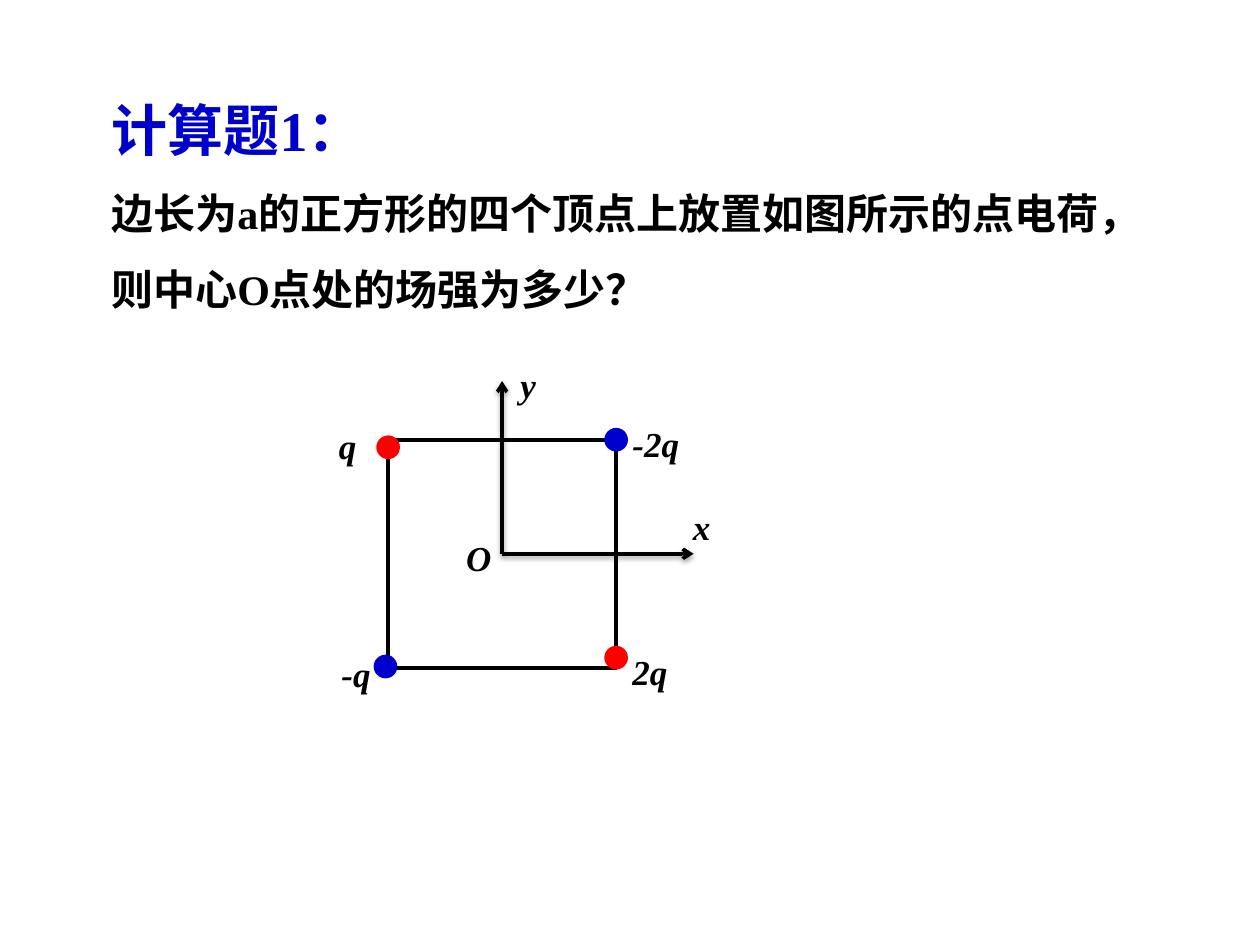
from dataclasses import dataclass

import pptx
import pptx.dml.color
import pptx.enum.shapes
import pptx.enum.text
import pptx.oxml
import pptx.oxml.ns
import pptx.util

Pt = pptx.util.Pt
RGB = pptx.dml.color.RGBColor
SHAPE = pptx.enum.shapes.MSO_SHAPE


@dataclass(frozen=True)
class Theme:
    font: str = "Times New Roman"
    title_size: int = 32
    body_size: int = 24
    label_size: int = 20
    line_width: int = 2
    inset: float = 3.6
    ink: RGB = RGB(0, 0, 0)
    paper: RGB = RGB(255, 255, 255)
    blue: RGB = RGB(0, 0, 0xCC)
    red: RGB = RGB(255, 0, 0)


THEME = Theme()

# Charge label, dot centre and label box, as offsets in the figure
CHARGES = [
    ("q", THEME.red, (31.8, 56.6), (0, 35, 24.5)),
    ("2q", THEME.red, (162.1, 176.8), (167.8, 164.6, 38.2)),
    ("-q", THEME.blue, (30.3, 181.9), (1.5, 165.3, 24.5)),
    ("-2q", THEME.blue, (162.1, 52.3), (167.8, 34.3, 49.7)),
]
AXIS_LABELS = [
    ("O", (72.8, 99.1, 24.5)),
    ("y", (103.8, 0.4, 24.5)),
    ("x", (202.4, 81.8, 24.5)),
]
SQUARE_OFFSET = (31.8, 52.3)
SQUARE_SIDE = 130.3
DOT_SIZE = 11.5
LABEL_HEIGHT = 36
X_AXIS_LENGTH = 109.4
Y_AXIS_LENGTH = 98.7


def write_text(box, text, size, color, spacing, italic=False):
    frame = box.text_frame
    frame.word_wrap = True
    frame.auto_size = pptx.enum.text.MSO_AUTO_SIZE.NONE
    frame.vertical_anchor = pptx.enum.text.MSO_ANCHOR.TOP
    frame.margin_left = frame.margin_right = Pt(THEME.inset)
    frame.margin_top = frame.margin_bottom = Pt(THEME.inset)
    para = frame.paragraphs[0]
    para.alignment = pptx.enum.text.PP_ALIGN.LEFT
    para.line_spacing = spacing
    para.space_before = Pt(0)
    span = para.add_run()
    span.text = text
    span.font.name = THEME.font
    span.font.size = Pt(size)
    span.font.bold = True
    span.font.italic = italic
    span.font.color.rgb = color


def add_outlined(page, kind, left, top, size, fill, line):
    shape = page.shapes.add_shape(kind, Pt(left), Pt(top), Pt(size), Pt(size))
    shape.shadow.inherit = False
    shape.fill.solid()
    shape.fill.fore_color.rgb = fill
    shape.line.color.rgb = line
    shape.line.width = Pt(THEME.line_width)


def add_axis(page, start, end):
    axis = page.shapes.add_connector(
        pptx.enum.shapes.MSO_CONNECTOR.STRAIGHT, *map(Pt, start + end))
    axis.line.color.rgb = THEME.ink
    axis.line.width = Pt(THEME.line_width)
    # Arrowhead and soft shadow below the line
    axis.line._get_or_add_ln().append(pptx.oxml.parse_xml(
        f'<a:tailEnd {pptx.oxml.ns.nsdecls("a")} type="arrow"/>'))
    axis._element.spPr.append(pptx.oxml.parse_xml(
        f'<a:effectLst {pptx.oxml.ns.nsdecls("a")}>'
        f'<a:outerShdw blurRad="{Pt(3)}" dist="{Pt(1.6)}" dir="5400000" rotWithShape="0">'
        '<a:srgbClr val="000000"><a:alpha val="38000"/></a:srgbClr>'
        '</a:outerShdw></a:effectLst>'))


def add_label(page, text, left, top, width):
    box = page.shapes.add_textbox(Pt(left), Pt(top), Pt(width), Pt(LABEL_HEIGHT))
    write_text(box, text, THEME.label_size, THEME.ink, 1.2, italic=True)


def place_question(page, left, top, width, height):
    title_height = 50
    body_top = top + title_height - THEME.inset
    # Heading
    title = page.shapes.title
    title.left, title.top = Pt(left), Pt(top)
    title.width, title.height = Pt(width), Pt(title_height)
    write_text(title, "计算题1：", THEME.title_size, THEME.blue, 1.2)
    # Problem statement
    body = page.shapes.add_textbox(
        Pt(left), Pt(body_top), Pt(width), Pt(top + height - body_top))
    write_text(body, "边长为a的正方形的四个顶点上放置如图所示的点电荷，则中心O点处的场强为多少？",
               THEME.body_size, THEME.ink, 1.5)


def place_figure(page, left, top):
    # Square
    square_left, square_top = left + SQUARE_OFFSET[0], top + SQUARE_OFFSET[1]
    add_outlined(page, SHAPE.RECTANGLE, square_left, square_top, SQUARE_SIDE,
                 THEME.paper, THEME.ink)
    # Point charges
    for text, color, (x, y), (label_x, label_y, width) in CHARGES:
        add_outlined(page, SHAPE.OVAL, left + x - DOT_SIZE / 2,
                     top + y - DOT_SIZE / 2, DOT_SIZE, color, color)
        add_label(page, text, left + label_x, top + label_y, width)
    # Axes from the centre of the square
    center_x = square_left + SQUARE_SIDE / 2
    center_y = square_top + SQUARE_SIDE / 2
    center = (center_x, center_y)
    add_axis(page, center, (center_x + X_AXIS_LENGTH, center_y))
    add_axis(page, center, (center_x, center_y - Y_AXIS_LENGTH))
    for text, (x, y, width) in AXIS_LABELS:
        add_label(page, text, left + x, top + y, width)


def main():
    deck = pptx.Presentation()
    deck.slide_width, deck.slide_height = Pt(720), Pt(540)
    page = deck.slides.add_slide(deck.slide_layouts[5])
    place_question(page, 60, 43, 607, 156)
    place_figure(page, 190, 199)
    deck.save("out.pptx")


if __name__ == "__main__":
    main()
